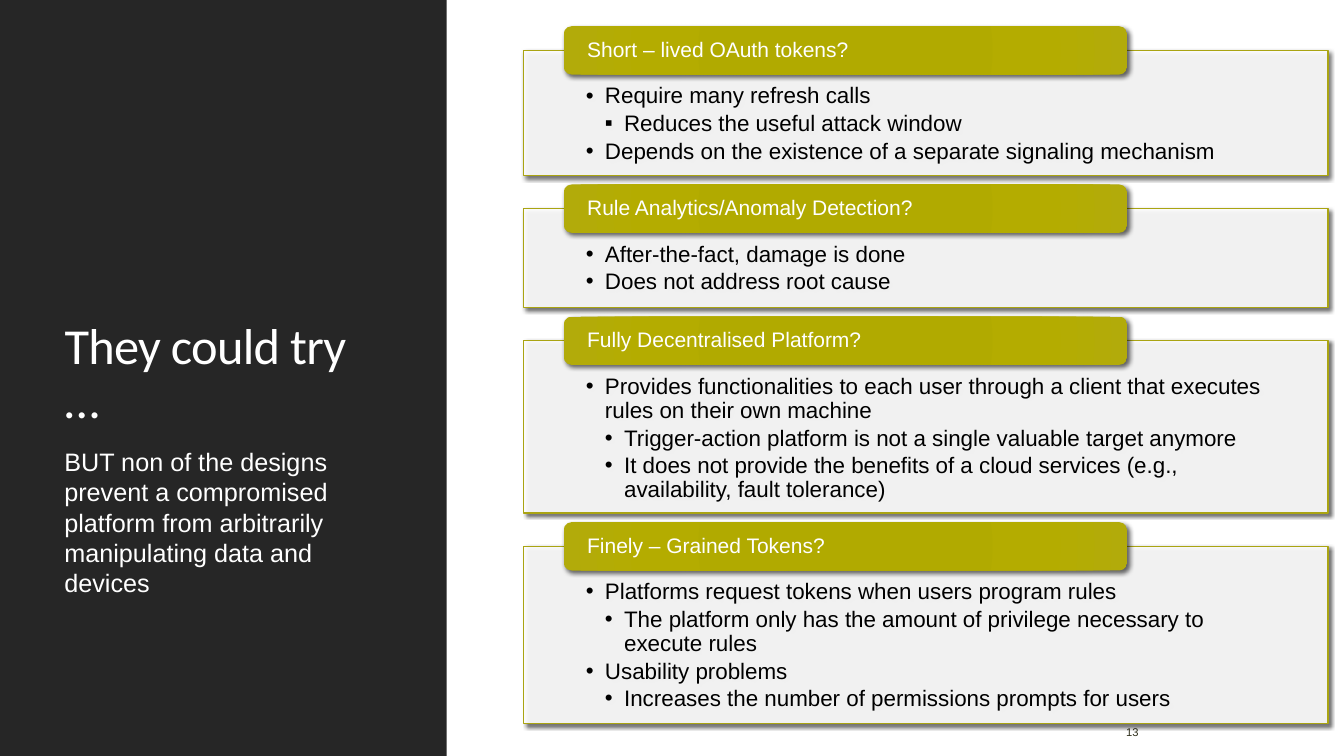
from dataclasses import dataclass

from lxml import etree
from pptx import Presentation
from pptx import util as u
from pptx.dml.color import RGBColor
from pptx.enum import shapes, text
from pptx.oxml import ns

WHITE = RGBColor(0xFF, 0xFF, 0xFF)
BLACK = RGBColor(0x00, 0x00, 0x00)
CHARCOAL = RGBColor(0x26, 0x26, 0x26)
OLIVE = RGBColor(0xAA, 0xA4, 0x12)
NUMBER_INK = RGBColor(0x2F, 0x2F, 0x1B)
HEADER_STOPS = (
    (0, RGBColor(0xAF, 0xA8, 0x00)),
    (34, RGBColor(0xB1, 0xAA, 0x00)),
    (70, RGBColor(0xB4, 0xAC, 0x00)),
    (100, RGBColor(0xB2, 0xAB, 0x0A)),
)

PANEL_LEFT, PANEL_WIDTH, FIRST_TOP, PANEL_GAP = 5.19, 7.98, 0.5, 0.33
HEADER_LEFT, HEADER_WIDTH, HEADER_HEIGHT = 5.59, 5.59, 0.48
INDENT = 0.19


@dataclass
class Point:
    wording: str
    level: int = 1
    bullet: str = "•"


@dataclass
class Option:
    heading: str
    height: float
    points: list[Point]


OPTIONS = [
    Option("Short – lived OAuth tokens?", 1.24, [
        Point("Require many refresh calls"),
        Point("Reduces the useful attack window", 2, "▪"),
        Point("Depends on the existence of a separate signaling mechanism"),
    ]),
    Option("Rule Analytics/Anomaly Detection?", 0.98, [
        Point("After-the-fact, damage is done"),
        Point("Does not address root cause"),
    ]),
    Option("Fully Decentralised Platform?", 1.71, [
        Point("Provides functionalities to each user through a client that "
              "executes rules on their own machine"),
        Point("Trigger-action platform is not a single valuable target anymore", 2),
        Point("It does not provide the benefits of a cloud services (e.g., "
              "availability, fault tolerance)", 2),
    ]),
    Option("Finely – Grained Tokens?", 1.76, [
        Point("Platforms request tokens when users program rules"),
        Point("The platform only has the amount of privilege necessary to "
              "execute rules", 2),
        Point("Usability problems"),
        Point("Increases the number of permissions prompts for users", 2),
    ]),
]


def add_xml(parent, tag: str, **attributes):
    return etree.SubElement(parent, ns.qn(tag), attributes)


def add_span(para, wording: str, size: float, color: RGBColor, font: str = "Arial"):
    span = para.add_run()
    span.text = wording
    span.font.size = u.Pt(size)
    span.font.name = font
    span.font.color.rgb = color
    return span


def set_frame(frame, anchor, left: float = 0.1, top: float = 0.05,
              right: float = 0.1, bottom: float = 0.05) -> None:
    frame.word_wrap = True
    frame.vertical_anchor = anchor
    frame.margin_left, frame.margin_right = u.Inches(left), u.Inches(right)
    frame.margin_top, frame.margin_bottom = u.Inches(top), u.Inches(bottom)


def add_box(page, kind, left: float, top: float, width: float, height: float):
    box = page.shapes.add_shape(kind, u.Inches(left), u.Inches(top),
                                u.Inches(width), u.Inches(height))
    box.shadow.inherit = False
    return box


def add_shadow(box, blur: float) -> None:
    effects = box.element.spPr.find(ns.qn("a:effectLst"))
    shadow = add_xml(effects, "a:outerShdw", blurRad=str(u.Pt(blur)),
                     dist=str(u.Pt(2)), dir="2700000", algn="ctr", rotWithShape="0")
    color = add_xml(shadow, "a:srgbClr", val=str(BLACK))
    add_xml(color, "a:alpha", val="60000")


def fill_header(box) -> None:
    gradient = etree.Element(ns.qn("a:gradFill"), rotWithShape="1")
    stops = add_xml(gradient, "a:gsLst")
    for position, color in HEADER_STOPS:
        stop = add_xml(stops, "a:gs", pos=str(position * 1000))
        add_xml(stop, "a:srgbClr", val=str(color))
    sweep = add_xml(gradient, "a:path", path="circle")
    add_xml(sweep, "a:fillToRect", l="100000", t="100000", r="100000", b="100000")
    box.element.spPr.find(ns.qn("a:prstGeom")).addnext(gradient)


def add_point(para, point: Point) -> None:
    para.level = point.level
    para.alignment = text.PP_ALIGN.LEFT
    para.line_spacing = 0.9
    para.space_before = u.Pt(0)
    para.space_after = u.Pt(2.4)
    props = para._p.get_or_add_pPr()
    props.set("marL", str(u.Inches(INDENT * point.level)))
    props.set("indent", str(u.Inches(-INDENT)))
    add_xml(props, "a:buFont", typeface="Arial")
    add_xml(props, "a:buChar", char=point.bullet)
    add_span(para, point.wording, 16, BLACK)


def add_option(page, option: Option, top: float) -> None:
    # Panel with its bullet points
    panel = add_box(page, shapes.MSO_SHAPE.RECTANGLE,
                    PANEL_LEFT, top, PANEL_WIDTH, option.height)
    panel.fill.solid()
    panel.fill.fore_color.rgb = WHITE
    tint = panel.element.spPr.find(ns.qn("a:solidFill"))[0]
    add_xml(tint, "a:alpha", val="90000")
    panel.line.color.rgb = OLIVE
    panel.line.width = u.Pt(1)
    add_shadow(panel, 3)
    frame = panel.text_frame
    set_frame(frame, text.MSO_ANCHOR.TOP, 0.62, 0.34, 0.62, 0.12)
    for index, point in enumerate(option.points):
        add_point(frame.add_paragraph() if index else frame.paragraphs[0], point)

    # Header straddling the panel's top edge
    header = add_box(page, shapes.MSO_SHAPE.ROUNDED_RECTANGLE, HEADER_LEFT,
                     top - HEADER_HEIGHT / 2, HEADER_WIDTH, HEADER_HEIGHT)
    fill_header(header)
    header.line.fill.background()
    add_shadow(header, 3.5)
    set_frame(header.text_frame, text.MSO_ANCHOR.MIDDLE, 0.21, 0, 0.21, 0)
    para = header.text_frame.paragraphs[0]
    para.alignment = text.PP_ALIGN.LEFT
    para.line_spacing = 0.9
    add_span(para, option.heading, 15, WHITE)


def add_note(page, wording: str, size: float, color: RGBColor, anchor,
             left: float, top: float, width: float, height: float):
    box = page.shapes.add_textbox(u.Inches(left), u.Inches(top),
                                  u.Inches(width), u.Inches(height))
    set_frame(box.text_frame, anchor)
    add_span(box.text_frame.paragraphs[0], wording, size, color)
    return box


def main() -> None:
    deck = Presentation()
    deck.slide_width, deck.slide_height = u.Inches(13.33), u.Inches(7.5)
    page = deck.slides.add_slide(deck.slide_layouts[5])
    page.background.fill.solid()
    page.background.fill.fore_color.rgb = WHITE

    # Dark sidebar, behind the title
    title = page.shapes.title
    sidebar = add_box(page, shapes.MSO_SHAPE.RECTANGLE, 0, 0, 4.43, 7.5)
    sidebar.fill.solid()
    sidebar.fill.fore_color.rgb = CHARCOAL
    sidebar.line.fill.background()
    title.element.addprevious(sidebar.element)

    # Title
    title.left, title.top = u.Inches(0.54), u.Inches(0.57)
    title.width, title.height = u.Inches(3.37), u.Inches(6.31)
    set_frame(title.text_frame, text.MSO_ANCHOR.MIDDLE)
    title.text_frame.auto_size = text.MSO_AUTO_SIZE.NONE
    para = title.text_frame.paragraphs[0]
    para.alignment = text.PP_ALIGN.LEFT
    para.line_spacing = 0.9
    span = add_span(para, "They could try …", 36, WHITE, "Calibri")
    span.font._element.set("spc", "-50")

    # Slide number
    add_note(page, "13", 8, NUMBER_INK, text.MSO_ANCHOR.MIDDLE, 11.07, 7.06, 1.19, 0.4)

    # Options, stacked with equal gaps
    top = FIRST_TOP
    for option in OPTIONS:
        add_option(page, option, top)
        top += option.height + PANEL_GAP

    # Sidebar remark
    remark = add_note(page, "BUT non of the designs prevent a compromised platform from "
                      "arbitrarily manipulating data and devices", 18, WHITE,
                      text.MSO_ANCHOR.TOP, 0.54, 4.38, 3.56, 1.62)
    remark.text_frame.auto_size = text.MSO_AUTO_SIZE.SHAPE_TO_FIT_TEXT

    deck.save("out.pptx")


if __name__ == "__main__":
    main()
